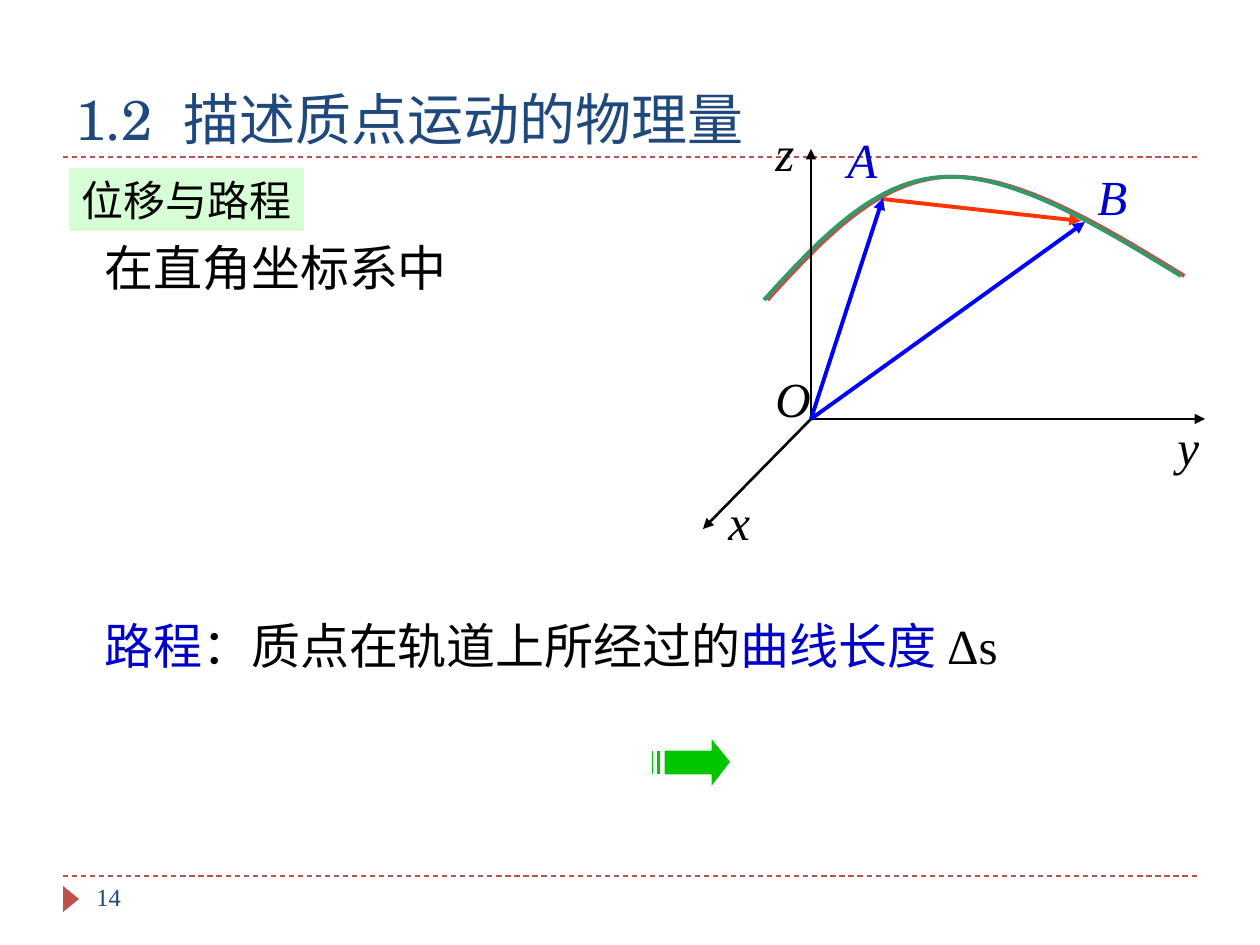
"""Build the slide on displacement and path length of a particle."""
import lxml.etree
import pptx
import pptx.dml.color
import pptx.enum.dml
import pptx.enum.shapes
import pptx.enum.text
import pptx.oxml.ns
import pptx.util

RGB = pptx.dml.color.RGBColor
SHAPE = pptx.enum.shapes.MSO_SHAPE
ANCHOR = pptx.enum.text.MSO_ANCHOR
DASH = pptx.enum.dml.MSO_LINE.DASH

SCALE = 914400 / 126
BLACK = RGB(0x00, 0x00, 0x00)
WHITE = RGB(0xFF, 0xFF, 0xFF)
NAVY = RGB(0x1F, 0x49, 0x7D)
BRICK = RGB(0xC0, 0x50, 0x4D)
BLUE = RGB(0x00, 0x00, 0xFF)
INK_BLUE = RGB(0x00, 0x00, 0xCC)
ORANGE = RGB(0xFF, 0x33, 0x00)
SEA_GREEN = RGB(0x33, 0x99, 0x66)
ARROW_GREEN = RGB(0x00, 0xC6, 0x00)
MINT = RGB(0xCC, 0xFF, 0xCC)

CJK = "Noto Sans CJK SC"
TITLE = {"name": "TeX Gyre Schola", "size": pptx.util.Pt(32), "bold": False}
NUMBER = {"name": "Times New Roman", "size": pptx.util.Pt(14)}
BODY = {"name": "Times New Roman", "size": pptx.util.Pt(28)}
KEYWORD = {**BODY, "name": CJK}
SYMBOL = {**BODY, "italic": True}
TAG = {"name": "Arial", "size": pptx.util.Pt(24)}

ORIGIN = (811, 419)
CURVE = [((764, 300), (818, 241), (873, 181), (942, 177)),
         ((942, 177), (1012, 173), (1096, 224), (1181, 276))]
ARROW = [
    [(711, 737), (711, 750), (664, 750), (664, 775), (711, 775), (711, 788), (731, 762)],
    [(656, 750), (656, 775), (661, 775), (661, 750)],
    [(651, 750), (651, 775), (654, 775), (654, 750)],
]


def px(n):
    """Turn pixels into EMU."""
    return pptx.util.Emu(round(n * SCALE))


def add_xml(parent, tag, **attrs):
    """Append a DrawingML element and return it."""
    return lxml.etree.SubElement(parent, pptx.oxml.ns.qn(tag), attrs)


def set_attrs(obj, values):
    """Set each value of a dict as an attribute."""
    for name, value in values.items():
        setattr(obj, name, value)


def place(sp, box):
    """Move and size a shape to a box in pixels."""
    set_attrs(sp, dict(zip(("left", "top", "width", "height"), map(px, box))))


def write(sp, runs, wrap=True, anchor=ANCHOR.TOP):
    """Fill a shape with one left-aligned paragraph of formatted runs."""
    tf = sp.text_frame
    set_attrs(tf, {"word_wrap": wrap, "vertical_anchor": anchor})
    p = tf.paragraphs[0]
    p.alignment = pptx.enum.text.PP_ALIGN.LEFT
    for text, fmt, color in runs:
        r = p.add_run()
        r.text = text
        set_attrs(r.font, fmt)
        r.font.color.rgb = color
        add_xml(r.font._element, "a:ea", typeface=CJK)


def add_text(s, box, runs, wrap=True):
    """Add a text box."""
    sp = s.shapes.add_textbox(*map(px, box))
    write(sp, runs, wrap)


def add_line(s, start, end, color, width, dash=None, arrow=False):
    """Add a straight line, dashed or with an arrowhead if asked."""
    kind = pptx.enum.shapes.MSO_CONNECTOR.STRAIGHT
    c = s.shapes.add_connector(kind, *map(px, start + end))
    c.line.color.rgb = color
    set_attrs(c.line, {"width": pptx.util.Pt(width), "dash_style": dash})
    if arrow:
        add_xml(c.line._get_or_add_ln(), "a:tailEnd", type="triangle")
    add_xml(c._element.spPr, "a:effectLst")


def add_solid(s, kind, box, color):
    """Add a preset shape with a plain fill and no outline."""
    sp = s.shapes.add_shape(kind, *map(px, box))
    sp.shadow.inherit = False
    sp.fill.solid()
    sp.fill.fore_color.rgb = color
    sp.line.fill.background()
    return sp


def add_outline(s, contours, close, color, width):
    """Add a freeform made of contours given in pixels."""
    contours = [[(px(x), px(y)) for x, y in points] for points in contours]
    builder = s.shapes.build_freeform(*contours[0][0])
    for points in contours:
        if points is not contours[0]:
            builder.move_to(*points[0])
        builder.add_line_segments(points[1:], close=close)
    sp = builder.convert_to_shape()
    sp.shadow.inherit = False
    sp.line.color.rgb = color
    sp.line.width = pptx.util.Pt(width)
    return sp


def bezier(controls, t):
    """Return the point of a cubic curve at t."""
    weights = ((1 - t) ** 3, 3 * t * (1 - t) ** 2, 3 * t * t * (1 - t), t ** 3)
    return tuple(sum(w * v for w, v in zip(weights, axis)) for axis in zip(*controls))


def add_trajectory(s):
    """Add the curved path of the particle with its hard shadow."""
    steps = 24
    points = [CURVE[0][0]]
    points += [bezier(part, i / steps) for part in CURVE for i in range(1, steps + 1)]
    sp = add_outline(s, [points], False, SEA_GREEN, 2.25)
    sp.fill.background()
    effects = sp._element.spPr.find(pptx.oxml.ns.qn("a:effectLst"))
    shadow = add_xml(effects, "a:outerShdw", dist=str(pptx.util.Pt(2)), dir="0",
                     algn="ctr", rotWithShape="0")
    add_xml(shadow, "a:srgbClr", val=str(BRICK))


def add_block_arrow(s):
    """Add the striped green arrow."""
    sp = add_outline(s, ARROW, True, WHITE, 0.75)
    sp.fill.solid()
    sp.fill.fore_color.rgb = ARROW_GREEN


def add_tag(s):
    """Add the pale green topic label."""
    sp = add_solid(s, SHAPE.RECTANGLE, (69, 168, 235, 63), MINT)
    color = sp._element.spPr.find(".//" + pptx.oxml.ns.qn("a:srgbClr"))
    add_xml(color, "a:alpha", val="80000")
    write(sp, [("位移与路程", TAG, BLACK)], False, ANCHOR.MIDDLE)


def add_diagram(s):
    """Add the axes, trajectory, vectors and their labels."""
    add_line(s, (882, 199), (1081, 221), ORANGE, 2.25, arrow=True)
    add_trajectory(s)
    for end in ((1205, 419), (703, 529), (811, 149)):
        add_line(s, ORIGIN, end, BLACK, 1.5, arrow=True)
    for end in ((1085, 222), (883, 198)):
        add_line(s, ORIGIN, end, BLUE, 2.25, arrow=True)
    for text, left, top, width, color in (
            ("z", 763, 116, 44, BLACK), ("y", 1165, 410, 47, BLACK),
            ("x", 716, 485, 47, BLACK), ("O", 763, 362, 73, BLACK),
            ("B", 1085, 160, 72, INK_BLUE), ("A", 835, 123, 83, INK_BLUE)):
        add_text(s, (left, top, width, 72), [(text, SYMBOL, color)], False)


def main():
    """Build and save the slide."""
    prs = pptx.Presentation()
    set_attrs(prs, {"slide_width": px(1260), "slide_height": px(945)})
    s = prs.slides.add_slide(prs.slide_layouts[5])
    for y in (876, 157):
        add_line(s, (63, y), (1197, y), BRICK, 0.75, dash=DASH)
    marker = add_solid(s, SHAPE.ISOSCELES_TRIANGLE, (58, 891, 26, 16), BRICK)
    marker.rotation = 90
    place(s.shapes.title, (63, 32, 1134, 126))
    write(s.shapes.title, [("1.2  描述质点运动的物理量", TITLE, NAVY)], anchor=ANCHOR.BOTTOM)
    add_text(s, (84, 876, 273, 50), [("14", NUMBER, NAVY)])
    add_diagram(s)
    add_tag(s)
    add_text(s, (92, 231, 486, 72), [("在直角坐标系中", BODY, BLACK)])
    add_text(s, (92, 609, 1011, 72), [
        ("路程", KEYWORD, INK_BLUE), ("：质点在轨道上所经过的", BODY, BLACK),
        ("曲线长度", BODY, INK_BLUE), (" Δs", BODY, BLACK)])
    add_block_arrow(s)
    prs.save("out.pptx")


if __name__ == "__main__":
    main()
